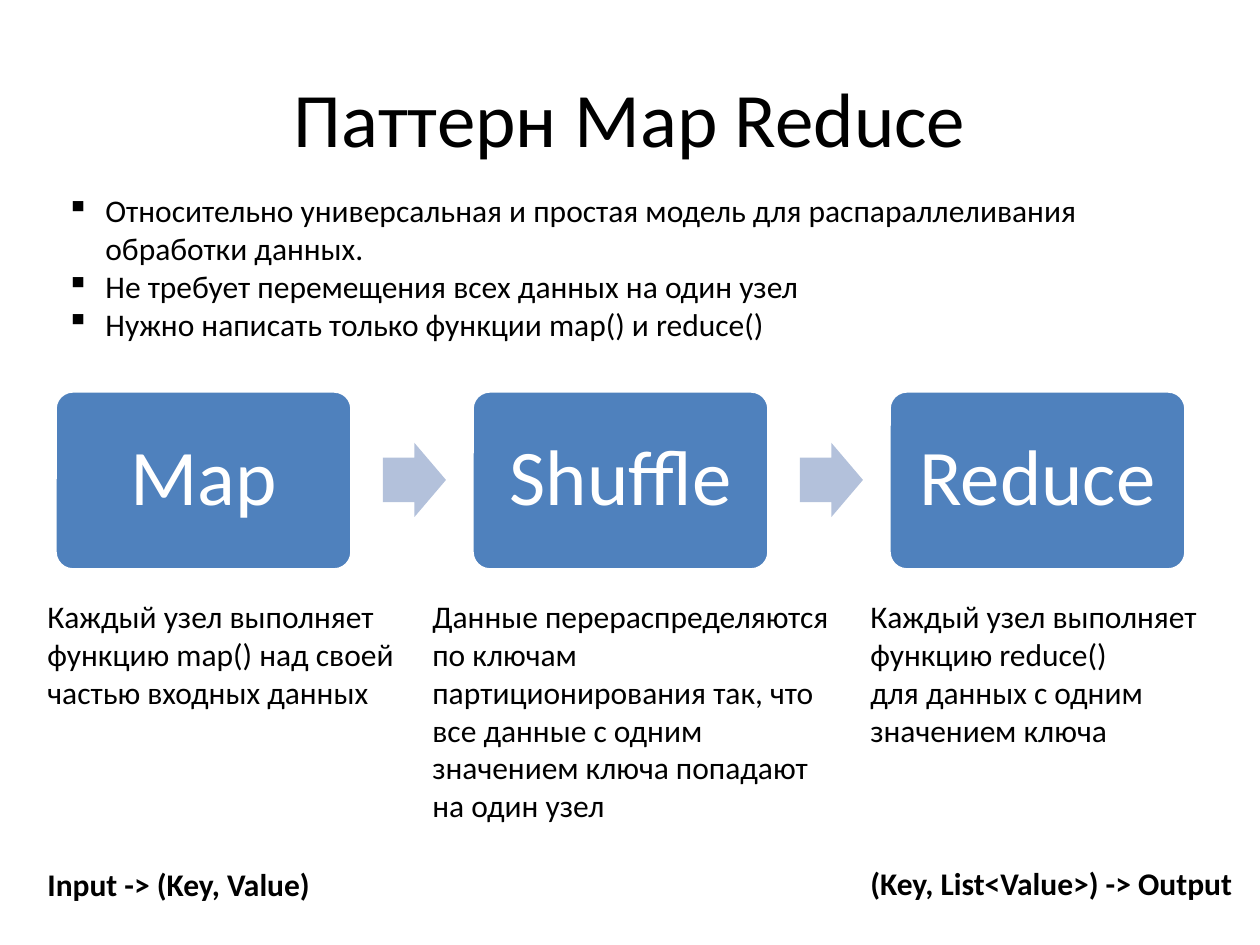
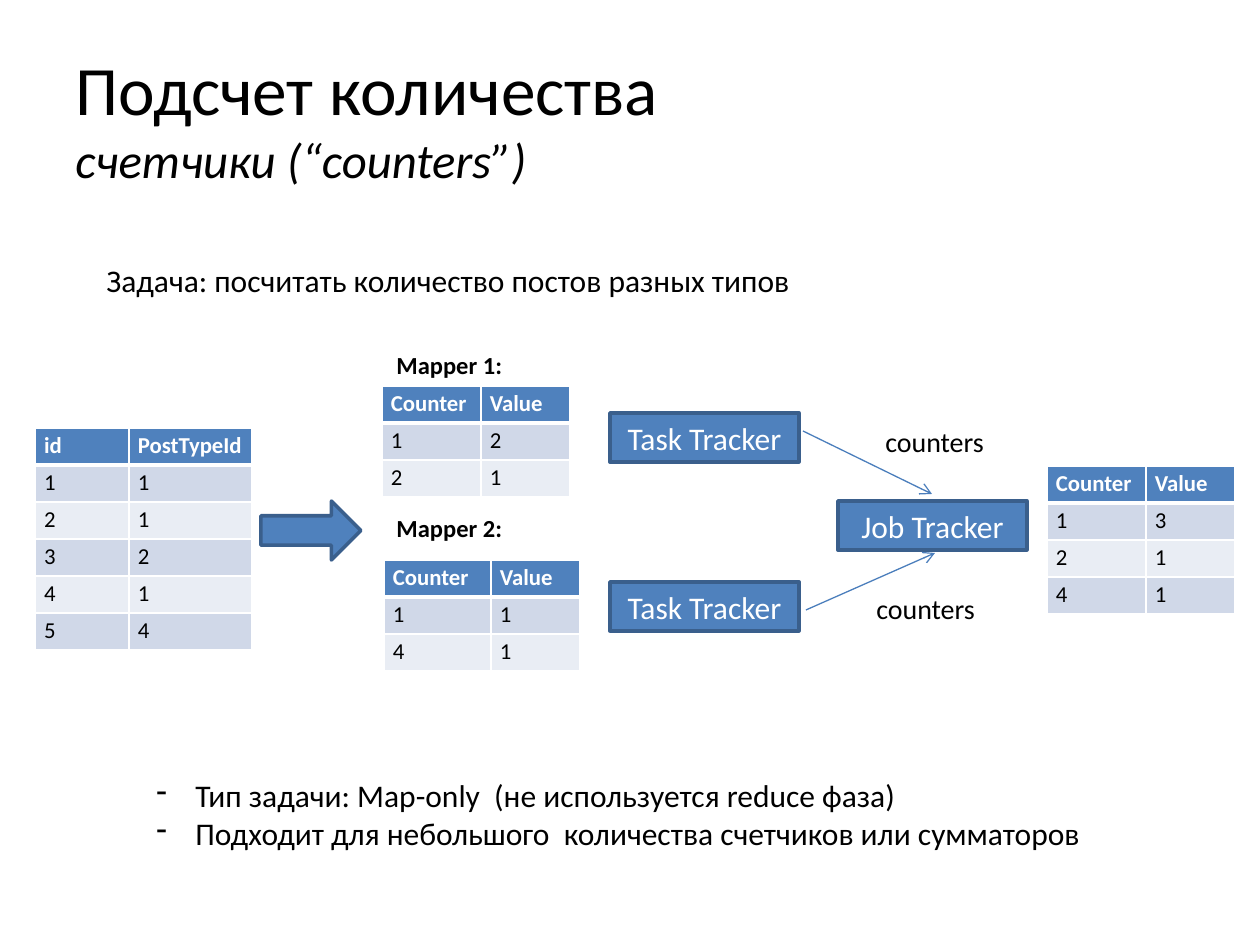
from lxml import etree
from pptx import Presentation
from pptx import util as u
from pptx.dml.color import RGBColor
from pptx.enum import shapes, text
from pptx.oxml.ns import qn

SCALE = 914400 / 126
FONT = "Calibri"
BLACK, WHITE = "000000", "FFFFFF"
BLUE, EDGE, WIRE, PALE = "4F81BD", "3A5F8C", "4B7EBC", "B3C1DB"
BANDS = "D0D8E8", "E9EDF4"
LEFT, CENTER = text.PP_ALIGN.LEFT, text.PP_ALIGN.CENTER


def px(n):
    """Turn pixels into EMU."""
    return u.Emu(round(n * SCALE))


def color(value):
    """Turn a hex string into a colour."""
    return RGBColor.from_string(value)


def write(tf, words, size=18, fill=BLACK, bold=False, italic=False,
          align=LEFT, before=0, spacing=None, bullet=None, same=False):
    """Add one paragraph, or one more line of the last paragraph."""
    p = tf.paragraphs[-1]
    if same:
        p.add_line_break()
    elif p.runs:
        p = tf.add_paragraph()
    if bullet:
        pPr = p._p.get_or_add_pPr()
        pPr.set("marL", str(px(39)))
        pPr.set("indent", str(-px(39)))
        etree.SubElement(pPr, qn("a:buChar"), char=bullet)
    p.alignment = align
    if before:
        p.space_before = u.Pt(before)
    if spacing:
        p.line_spacing = spacing
    r = p.add_run()
    r.text = words
    r.font.name, r.font.size = FONT, u.Pt(size)
    r.font.bold, r.font.italic = bold, italic
    r.font.color.rgb = color(fill)


def text_box(s, box, lines=(), wrap=True, **fmt):
    """Add a text box with one paragraph for each line."""
    tf = s.shapes.add_textbox(*map(px, box)).text_frame
    tf.word_wrap = wrap
    tf.auto_size = text.MSO_AUTO_SIZE.SHAPE_TO_FIT_TEXT
    for line in lines:
        write(tf, line, **fmt)
    return tf


def title(s, words, size):
    """Add the centred slide title."""
    tf = text_box(s, (63, 38, 1134, 158))
    tf.auto_size = text.MSO_AUTO_SIZE.NONE
    tf.vertical_anchor = text.MSO_ANCHOR.MIDDLE
    write(tf, words, size=size, align=CENTER)
    return tf


def block(s, kind, box, fill=BLUE, line=None, label=None, adjust=(), **fmt):
    """Add a filled preset shape with an optional centred label."""
    sp = s.shapes.add_shape(kind, *map(px, box))
    sp.shadow.inherit = False
    for i, value in enumerate(adjust):
        sp.adjustments[i] = value
    sp.fill.solid()
    sp.fill.fore_color.rgb = color(fill)
    if line:
        sp.line.color.rgb = color(line)
        sp.line.width = u.Pt(2)
    else:
        sp.line.fill.background()
    if label:
        sp.text_frame.word_wrap = False
        sp.text_frame.vertical_anchor = text.MSO_ANCHOR.MIDDLE
        write(sp.text_frame, label, fill=WHITE, align=CENTER, **fmt)
    return sp


def arrow(s, start, end):
    """Add a thin line with an open arrowhead at its end."""
    c = s.shapes.add_connector(shapes.MSO_CONNECTOR.STRAIGHT, *map(px, start + end))
    c.line.color.rgb = color(WIRE)
    c.line.width = u.Pt(0.75)
    etree.SubElement(c.line._get_or_add_ln(), qn("a:tailEnd"), type="arrow")
    etree.SubElement(c._element.spPr, qn("a:effectLst"))


def border(cell, side, points):
    """Draw one white cell border."""
    ln = etree.SubElement(cell._tc.get_or_add_tcPr(), qn("a:ln" + side), w=str(u.Pt(points)))
    fill = etree.SubElement(ln, qn("a:solidFill"))
    etree.SubElement(fill, qn("a:srgbClr"), val=WHITE)


def grid(s, left, top, widths, rows, row_height=37):
    """Add a table with a blue header and banded rows."""
    box = left, top, sum(widths), row_height * len(rows)
    table = s.shapes.add_table(len(rows), len(widths), *map(px, box)).table
    for column, width in zip(table.columns, widths):
        column.width = px(width)
    for i, row in enumerate(rows):
        table.rows[i].height = px(row_height)
        header = i == 0
        for j, value in enumerate(row):
            cell = table.cell(i, j)
            cell.margin_left, cell.margin_right = px(9), px(4)
            cell.margin_top = cell.margin_bottom = px(4)
            for side in "LRTB":
                thick = (header and side == "B") or (i == 1 and side == "T")
                border(cell, side, 3 if thick else 1)
            cell.fill.solid()
            cell.fill.fore_color.rgb = color(BLUE if header else BANDS[(i - 1) % 2])
            write(cell.text_frame, str(value), size=13, bold=header,
                  fill=WHITE if header else BLACK)


def stages(s, box, names, pitch=417, card=297):
    """Draw the stage cards in a row with arrows between them."""
    left, top, _, height = box
    for i, name in enumerate(names):
        x = left + i * pitch
        block(s, shapes.MSO_SHAPE.ROUNDED_RECTANGLE, (x, top, card, height), line=WHITE,
              label=name, adjust=[0.1], size=45, spacing=0.9)
        if i < len(names) - 1:
            block(s, shapes.MSO_SHAPE.RIGHT_ARROW, (x + 328, top + (height - 74) // 2, 63, 74),
                  fill=PALE, adjust=[0.6, 0.5])


def pattern_slide(s):
    """Explain the three stages of the pattern."""
    title(s, "Паттерн Map Reduce", 44)
    stages(s, (55, 391, 1131, 179), ["Map", "Shuffle", "Reduce"])
    top = 591
    tf = text_box(s, (35, top, 383, 318), [
        "Каждый узел выполняет", "функцию map() над своей", "частью входных данных"], wrap=False)
    write(tf, "Input -> (Key, Value)", bold=True, before=88)
    text_box(s, (420, top, 428, 242), [
        "Данные перераспределяются по ключам партиционирования так, что "
        "все данные с одним значением ключа попадают на один узел"])
    tf = text_box(s, (858, top, 402, 318), [
        "Каждый узел выполняет функцию reduce()", "для данных с одним значением ключа"])
    write(tf, "(Key, List<Value>) -> Output", bold=True, before=66)
    text_box(s, (54, 185, 1142, 165), [
        "Относительно универсальная и простая модель для распараллеливания обработки данных.",
        "Не требует перемещения всех данных на один узел",
        "Нужно написать только функции map() и reduce()"], bullet="▪")


def trackers(s, box):
    """Draw the task trackers that send counters to the job tracker."""
    left, top, width, height = box
    tile = 189, 49
    job_left, job_top = left + width - tile[0], top + 88
    for x, y, name in [(left, top, "Task Tracker"),
                       (left, top + height - tile[1], "Task Tracker"),
                       (job_left, job_top, "Job Tracker")]:
        block(s, shapes.MSO_SHAPE.RECTANGLE, (x, y, *tile), line=EDGE, label=name)
    arrow(s, (left + 193, top + 18), (job_left + 94, job_top - 7))
    arrow(s, (left + 196, top + 197), (job_left + 97, job_top + 52))
    for x, y in [(left + 263, top + 5), (left + 254, top + 172)]:
        text_box(s, (x, y, 125, 47), ["counters"], size=16, wrap=False)


def counters_slide(s):
    """Show how counters are gathered from the mappers."""
    tf = title(s, "Подсчет количества ", 39.6)
    write(tf, "счетчики (“counters”)", size=27.9, italic=True, same=True)
    text_box(s, (94, 255, 735, 50), ["Задача: посчитать количество постов разных типов"], wrap=False)
    head = "Counter", "Value"
    grid(s, 35, 428, (94, 123),
         [("id", "PostTypeId"), (1, 1), (2, 1), (3, 2), (4, 1), (5, 4)])
    block(s, shapes.MSO_SHAPE.RIGHT_ARROW, (261, 501, 100, 59), line=EDGE)
    text_box(s, (384, 344, 151, 43), ["Mapper 1:"], size=14, bold=True)
    grid(s, 382, 386, (99, 89), [head, (1, 2), (2, 1)])
    text_box(s, (384, 507, 131, 43), ["Mapper 2:"], size=14, bold=True, wrap=False)
    grid(s, 384, 560, (107, 89), [head, (1, 1), (4, 1)])
    trackers(s, (610, 413, 417, 218))
    grid(s, 1047, 466, (99, 89), [head, (1, 3), (2, 1), (4, 1)])
    text_box(s, (144, 770, 960, 89), [
        "Тип задачи: Map-only  (не используется reduce фаза)",
        "Подходит для небольшого  количества счетчиков или сумматоров"], wrap=False, bullet="-")


def main():
    """Build and save the presentation."""
    prs = Presentation()
    prs.slide_width, prs.slide_height = px(1260), px(945)
    for build in (pattern_slide, counters_slide):
        build(prs.slides.add_slide(prs.slide_layouts[6]))
    prs.save("out.pptx")


if __name__ == "__main__":
    main()
